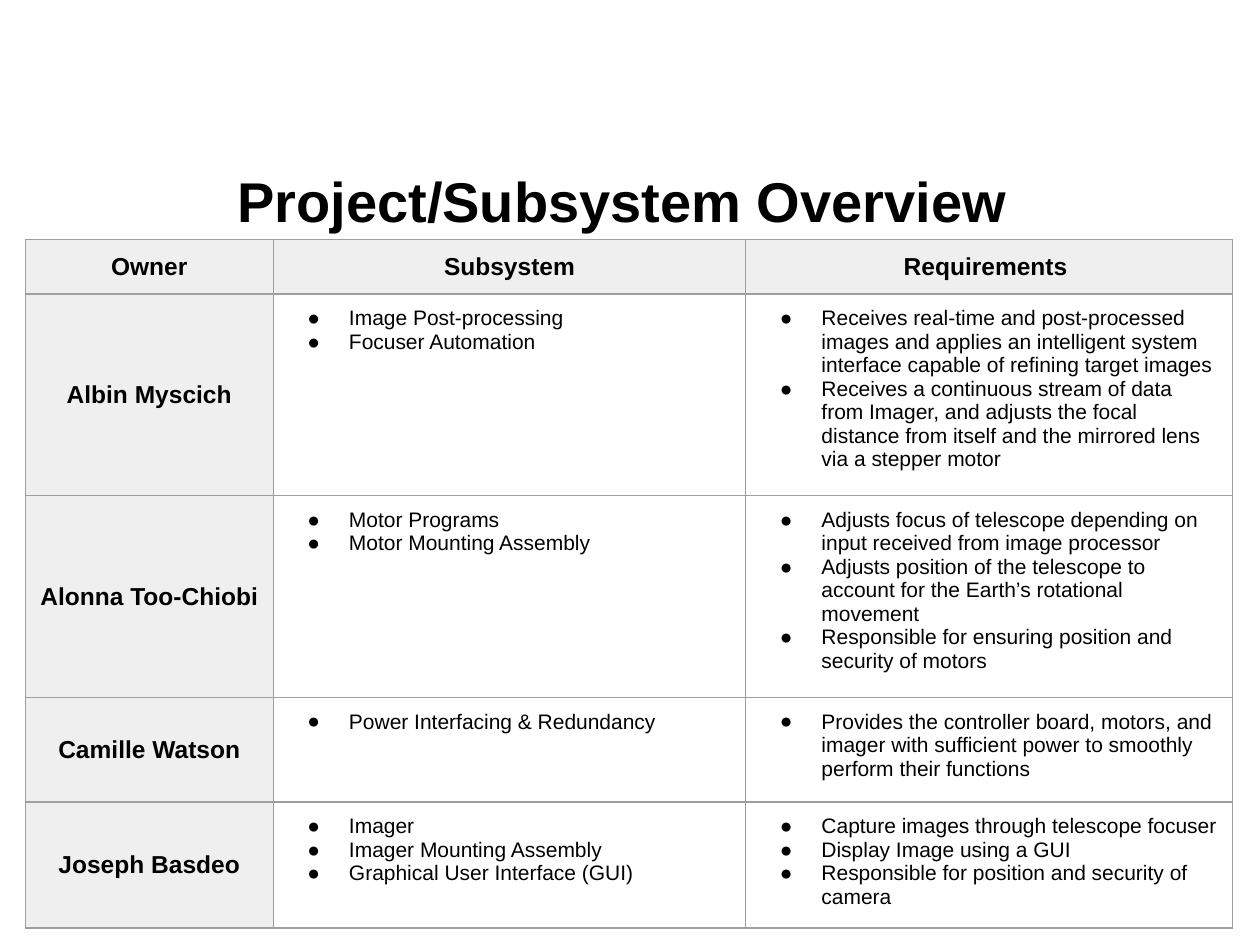
from lxml import etree
from pptx import Presentation
from pptx.dml.color import RGBColor
from pptx.enum.text import MSO_ANCHOR, PP_ALIGN
from pptx.oxml.ns import qn
from pptx.util import Inches, Pt

CENTER, LEFT = PP_ALIGN.CENTER, PP_ALIGN.LEFT
MIDDLE, TOP = MSO_ANCHOR.MIDDLE, MSO_ANCHOR.TOP

COLORS = {"text": "000000", "heading": "EFEFEF", "border": "9E9E9E"}
HEADINGS = ["Owner", "Subsystem", "Requirements "]
OWNERS = [
    ("Albin Myscich",
     ["Image Post-processing", "Focuser Automation"],
     ["Receives real-time and post-processed images and applies an intelligent "
      "system interface capable of refining target images",
      "Receives a continuous stream of data from Imager, and adjusts the focal "
      "distance from itself and the mirrored lens via a stepper motor"]),
    ("Alonna Too-Chiobi",
     ["Motor Programs", "Motor Mounting Assembly"],
     ["Adjusts focus of telescope depending on input received from image processor",
      "Adjusts position of the telescope to account for the Earth’s rotational movement",
      "Responsible for ensuring position and security of motors"]),
    ("Camille Watson",
     ["Power Interfacing & Redundancy"],
     ["Provides the controller board, motors, and imager with sufficient power "
      "to smoothly perform their functions"]),
    ("Joseph Basdeo",
     ["Imager", "Imager Mounting Assembly", "Graphical User Interface (GUI)"],
     ["Capture images through telescope focuser",
      "Display Image using a GUI",
      "Responsible for position and security of camera"]),
]
COLUMN_WIDTHS = [1.97, 3.75, 3.86]
ROW_HEIGHTS = [0.36, 1.06, 1.6, 0.83, 0.8]


def write_lines(frame, lines, size, bold, align, bulleted=False):
    frame.text = "\n".join(lines)
    for para in frame.paragraphs:
        para.alignment = align
        if bulleted:
            props = para._p.get_or_add_pPr()
            props.set("marL", str(Inches(0.5)))
            props.set("indent", str(Inches(-0.33)))
            bullet_color = etree.SubElement(props, qn("a:buClr"))
            etree.SubElement(bullet_color, qn("a:srgbClr"), val=COLORS["text"])
            etree.SubElement(props, qn("a:buFont"), typeface="Arial")
            etree.SubElement(props, qn("a:buChar"), char="●")
        para.font.name = "Arial"
        para.font.size = Pt(size)
        para.font.bold = bold
        para.font.color.rgb = RGBColor.from_string(COLORS["text"])


def add_borders(cell):
    props = cell._tc.get_or_add_tcPr()
    for position, side in enumerate(["lnL", "lnR", "lnT", "lnB"]):
        line = etree.Element(qn(f"a:{side}"), w=str(Pt(0.75)))
        fill = etree.SubElement(line, qn("a:solidFill"))
        etree.SubElement(fill, qn("a:srgbClr"), val=COLORS["border"])
        props.insert(position, line)


deck = Presentation()
deck.slide_width, deck.slide_height = Inches(10), Inches(7.5)
page = deck.slides.add_slide(deck.slide_layouts[6])

title = page.shapes.add_textbox(Inches(0.5), Inches(1.15), Inches(9), Inches(0.88))
title.text_frame.word_wrap = True
title.text_frame.vertical_anchor = MIDDLE
write_lines(title.text_frame, ["Project/Subsystem Overview "], 32, True, CENTER)

table = page.shapes.add_table(
    len(ROW_HEIGHTS), len(COLUMN_WIDTHS), Inches(0.2), Inches(1.9),
    Inches(sum(COLUMN_WIDTHS)), Inches(sum(ROW_HEIGHTS))).table
table.first_row = table.horz_banding = False
for column, width in zip(table.columns, COLUMN_WIDTHS):
    column.width = Inches(width)
for row, height in zip(table.rows, ROW_HEIGHTS):
    row.height = Inches(height)

for row, contents in zip(table.rows, [HEADINGS, *OWNERS]):
    for cell, content in zip(row.cells, contents):
        cell.margin_left = cell.margin_right = Inches(0.1)
        cell.margin_top = cell.margin_bottom = Inches(0.1)
        if isinstance(content, str):
            cell.vertical_anchor = MIDDLE
            cell.fill.solid()
            cell.fill.fore_color.rgb = RGBColor.from_string(COLORS["heading"])
            write_lines(cell.text_frame, [content], 14, True, CENTER)
        else:
            cell.vertical_anchor = TOP
            cell.fill.background()
            write_lines(cell.text_frame, content, 12, False, LEFT, bulleted=True)
        add_borders(cell)

deck.save("out.pptx")
